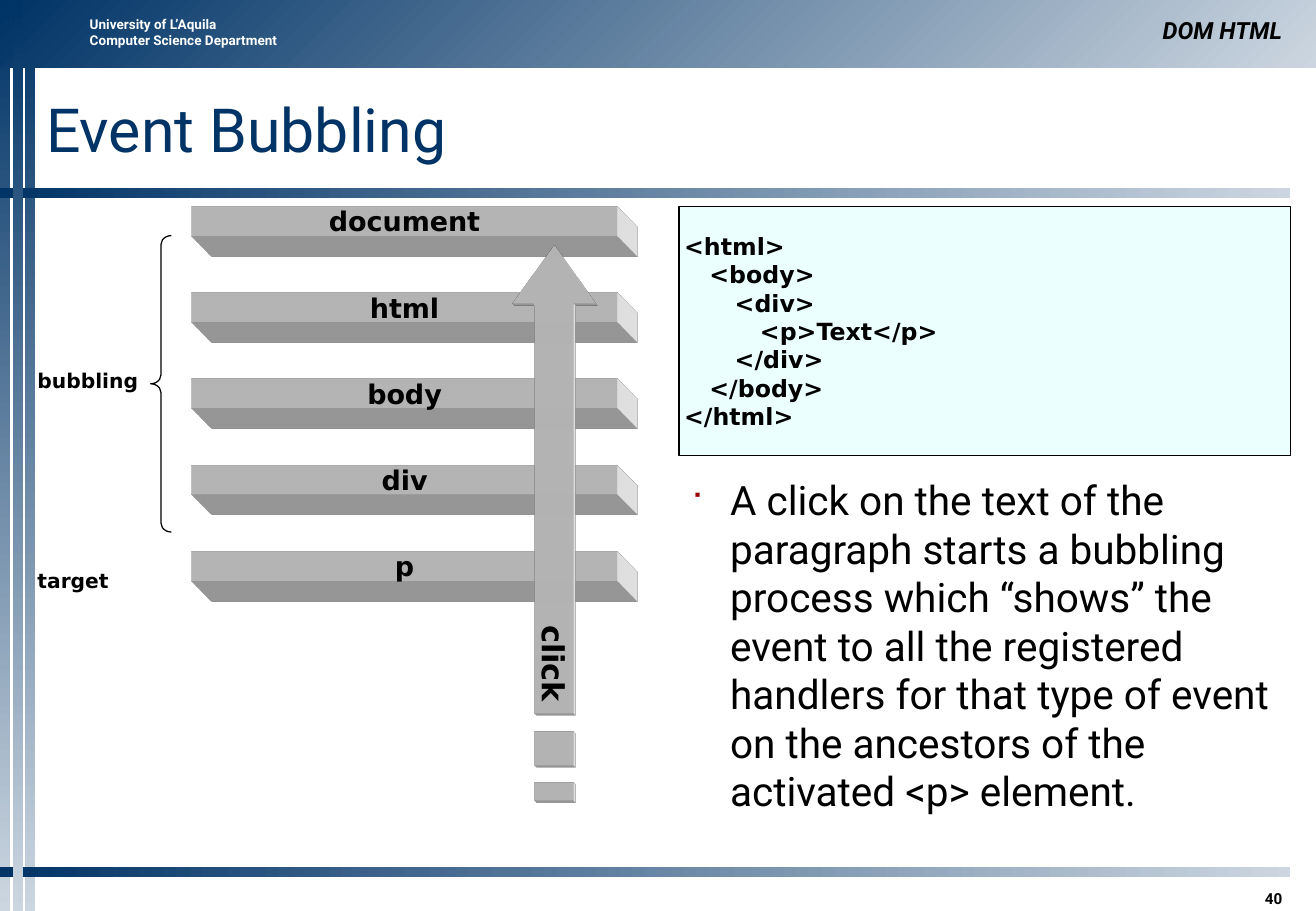
from lxml import etree
from pptx import Presentation
from pptx import util as u
from pptx.dml.color import RGBColor
from pptx.enum import shapes, text
from pptx.oxml.ns import qn

NAVY = RGBColor(0x00, 0x33, 0x66)
PALE = RGBColor(0xCC, 0xD6, 0xE0)
WHITE = RGBColor(0xFF, 0xFF, 0xFF)
BLACK = RGBColor(0x00, 0x00, 0x00)
AQUA = RGBColor(0xEB, 0xFF, 0xFF)
RED = RGBColor(0x9A, 0x00, 0x00)
SANS, CODE = "Roboto", "DejaVu Sans"
LEFT, MID, RIGHT = text.PP_ALIGN.LEFT, text.PP_ALIGN.CENTER, text.PP_ALIGN.RIGHT
TOP, CENTER, BASE = (text.MSO_ANCHOR.TOP, text.MSO_ANCHOR.MIDDLE,
                     text.MSO_ANCHOR.BOTTOM)

prs = Presentation()
prs.slide_width, prs.slide_height = u.Inches(10.83), u.Inches(7.5)
slide = prs.slides.add_slide(prs.slide_layouts[6])
draw = slide.shapes


def write(shape, words, size, font=SANS, color=BLACK, bold=False,
          align=LEFT, anchor=TOP, pads=(0.1, 0.05, 0.1, 0.05)):
    frame = shape.text_frame
    frame.word_wrap = True
    frame.vertical_anchor = anchor
    (frame.margin_left, frame.margin_top,
     frame.margin_right, frame.margin_bottom) = [u.Inches(p) for p in pads]
    frame.text = words
    for par in frame.paragraphs:
        par.alignment = align
        par.font.size, par.font.name = u.Pt(size), font
        par.font.bold, par.font.color.rgb = bold, color
    return frame


def extrude(shape, depth):
    """Give a white shape a solid body running down and to the right."""
    shape.shadow.inherit = False
    shape.fill.solid()
    shape.fill.fore_color.rgb = WHITE
    shape.line.fill.background()
    props = shape._element.spPr
    scene = etree.SubElement(props, qn("a:scene3d"))
    etree.SubElement(scene, qn("a:camera"), prst="legacyObliqueBottomRight")
    etree.SubElement(scene, qn("a:lightRig"), rig="legacyFlat3", dir="b")
    solid = etree.SubElement(props, qn("a:sp3d"), prstMaterial="legacyMatte",
                             extrusionH=str(u.Inches(depth)))
    tone = etree.SubElement(solid, qn("a:extrusionClr"))
    etree.SubElement(tone, qn("a:srgbClr"), val=str(WHITE))


# Gradient bars of the frame
for x, y, w, h, angle in [
        (0, 0, 0.08, 7.5, 270), (0.21, 0, 0.08, 7.5, 270),
        (0, 0, 10.83, 0.56, 315), (0, 1.55, 10.62, 0.08, 0),
        (0, 7.14, 10.62, 0.08, 0), (0.11, 0, 0.08, 7.5, 270)]:
    bar = draw.add_shape(shapes.MSO_SHAPE.RECTANGLE, u.Inches(x), u.Inches(y),
                         u.Inches(w), u.Inches(h))
    bar.shadow.inherit = False
    bar.line.fill.background()
    bar.fill.gradient()
    bar.fill.gradient_angle = angle
    for stop, color in zip(bar.fill.gradient_stops, (NAVY, PALE)):
        stop.color.rgb = color

# Header, page number, title and side labels
for x, y, w, h, words, style in [
        (0.64, 0.08, 2.01, 0.37,
         "University of L’Aquila\vComputer Science Department",
         dict(size=8, color=WHITE, bold=True)),
        (9.47, 7.22, 1.18, 0.25, "40",
         dict(size=9, bold=True, align=RIGHT, anchor=BASE,
              pads=(0.1, 0.05, 0.1, 0))),
        (0.38, 0.58, 10.27, 0.96, "Event Bubbling",
         dict(size=36, color=NAVY, anchor=CENTER, pads=(0, 0, 0, 0))),
        (0.21, 2.98, 1.45, 0.3, "bubbling", dict(size=12, font=CODE, bold=True)),
        (0.21, 4.63, 1.45, 0.3, "target", dict(size=12, font=CODE, bold=True))]:
    box = draw.add_textbox(u.Inches(x), u.Inches(y), u.Inches(w), u.Inches(h))
    write(box, words, **style)

topic = draw.add_textbox(u.Inches(5.41), u.Inches(0.08), u.Inches(5.24),
                         u.Inches(0.33))
frame = write(topic, "DOM HTML", 14, bold=True, align=RIGHT, anchor=BASE)
frame.paragraphs[0].font.italic = True

# Code panel
panel = draw.add_shape(shapes.MSO_SHAPE.RECTANGLE, u.Inches(5.59), u.Inches(1.7),
                       u.Inches(5.03), u.Inches(2.05))
panel.shadow.inherit = False
panel.fill.solid()
panel.fill.fore_color.rgb = AQUA
panel.line.color.rgb = BLACK
panel.line.width = u.Pt(1)
lines = ["<html>", "\t<body>", "\t\t<div>", "\t\t\t<p>Text</p>",
         "\t\t</div>", "\t</body>", "</html>"]
frame = write(panel, "\n".join(lines), 14, CODE, bold=True, anchor=CENTER,
              pads=(0.04,) * 4)
for par in frame.paragraphs:
    props = par._p.get_or_add_pPr()
    tabs = etree.Element(qn("a:tabLst"))
    for step in range(1, 7):
        etree.SubElement(tabs, qn("a:tab"), pos=str(u.Inches(0.208 * step)),
                         algn="l")
    props.insert(0, tabs)

# Stack of nodes
for row, node in enumerate(["document", "html", "body", "div", "p"]):
    slab = draw.add_shape(shapes.MSO_SHAPE.RECTANGLE, u.Inches(1.58),
                          u.Inches(1.7 + 0.71 * row), u.Inches(3.5),
                          u.Inches(0.24))
    extrude(slab, 0.48)
    write(slab, node, 16, CODE, bold=True, align=MID, anchor=CENTER,
          pads=(0.06, 0.01, 0.06, 0.01))

# Click arrow with its two tail blocks
parts = [[(4.9, 2.5), (4.72, 2.5), (4.72, 5.87), (4.4, 5.87), (4.4, 2.5),
          (4.22, 2.5), (4.56, 2.02)]]
for y, end in [(6.02, 6.3), (6.44, 6.59)]:
    parts.append([(4.72, end), (4.4, end), (4.4, y), (4.72, y)])
spots = [[(u.Inches(x), u.Inches(y)) for x, y in part] for part in parts]
form = draw.build_freeform(*spots[0][0])
form.add_line_segments(spots[0][1:])
for start, *rest in spots[1:]:
    form.move_to(*start)
    form.add_line_segments(rest)
click = form.convert_to_shape()
extrude(click, 0.05)
frame = write(click, "click", 18, CODE, bold=True, align=RIGHT, anchor=CENTER,
              pads=(0.05, 0.1, 0.05, 0.81))
frame._txBody.bodyPr.set("vert", "vert")

# Brace
brace = draw.add_shape(shapes.MSO_SHAPE.LEFT_BRACE, u.Inches(1.24),
                       u.Inches(1.94), u.Inches(0.17), u.Inches(2.44))
brace.shadow.inherit = False
brace.adjustments[0] = 0.43
brace.fill.background()
brace.line.color.rgb = BLACK
brace.line.width = u.Pt(0.75)

# Explanation
note = draw.add_textbox(u.Inches(5.59), u.Inches(3.91), u.Inches(5.03),
                        u.Inches(3.21))
frame = write(note, "A click on the text of the paragraph starts a bubbling "
              "process which “shows” the event to all the registered handlers "
              "for that type of event on the ancestors of the activated <p> "
              "element.", 24, pads=(0.1, 0, 0.1, 0))
props = frame.paragraphs[0]._p.get_or_add_pPr()
props.set("marL", str(u.Inches(0.32)))
props.set("indent", str(u.Inches(-0.32)))
tint = etree.Element(qn("a:buClr"))
etree.SubElement(tint, qn("a:srgbClr"), val=str(RED))
size = etree.Element(qn("a:buSzPct"), val="70000")
face = etree.Element(qn("a:buFont"), typeface="Wingdings")
mark = etree.Element(qn("a:buChar"), char="■")
for spot, part in enumerate([tint, size, face, mark]):
    props.insert(spot, part)

prs.save("out.pptx")
